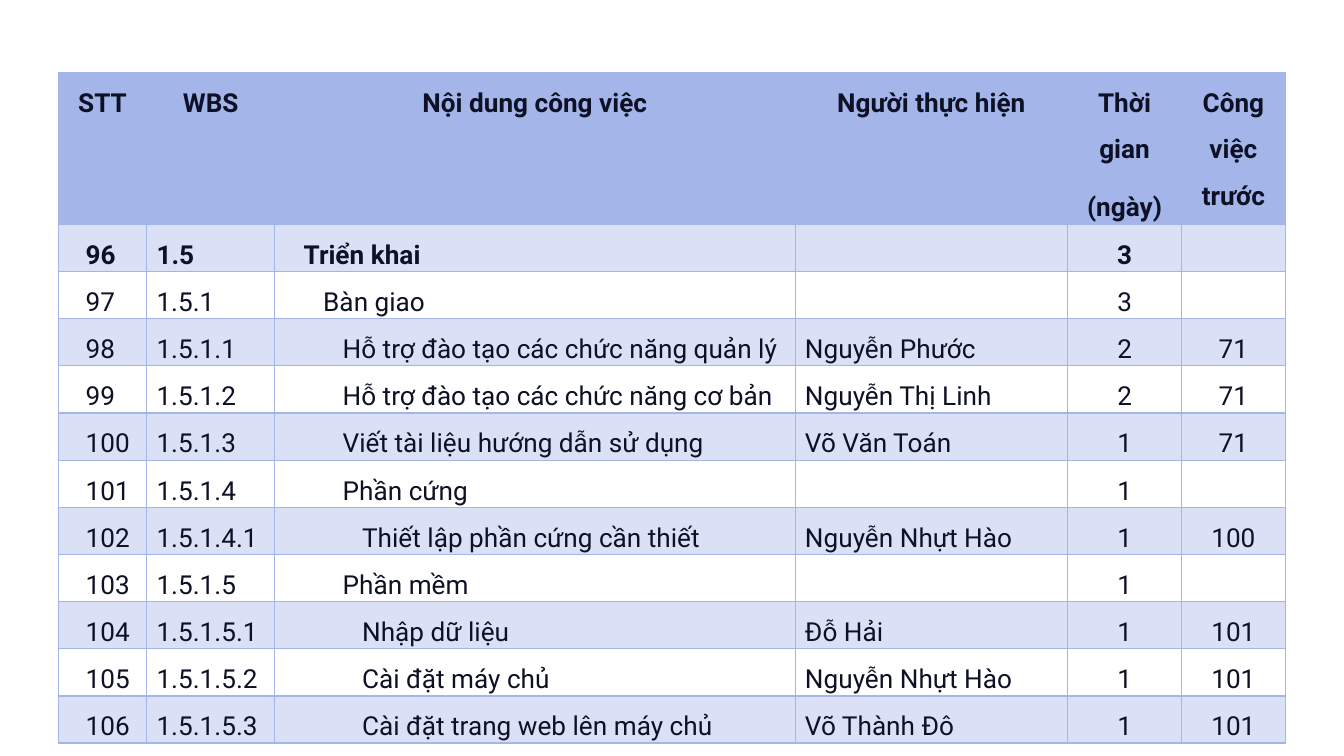
from dataclasses import dataclass

from lxml import etree
from pptx import Presentation
from pptx import util as u
from pptx.dml.color import RGBColor
from pptx.enum import text
from pptx.oxml import ns


@dataclass(frozen=True)
class Theme:
    font: str = "Roboto"
    size: float = 14
    ink: str = "0E1125"
    accent: str = "A4B5E9"
    band_alpha: int = 40
    border: float = 0.75
    line_spacing: float = 1.5
    plain_style: str = "{2D5ABB26-0587-4C30-8999-92F81FD0307C}"


LEFT, CENTER = text.PP_ALIGN.LEFT, text.PP_ALIGN.CENTER

# Lengths are in grid units: one hundredth of the slide's width.
TABLE_LEFT, TABLE_TOP = 4.33, 5.4
COL_WIDTHS = [6.6, 9.5, 38.75, 20.25, 8.5, 7.7]
HEADER_HEIGHT, ROW_HEIGHT = 11.3, 3.51
CELL_MARGIN, NUMBER_INDENT, LEVEL_INDENT = 0.72, 1.33, 1.45

HEADERS = [["STT"], ["WBS"], ["Nội dung công việc"], ["Người thực hiện"],
           ["Thời gian", "(ngày)"], ["Công việc trước"]]
ALIGNS = [LEFT, LEFT, LEFT, LEFT, CENTER, CENTER]
FIRST_NUMBER = 96
TASKS = [
    ("1.5", "Triển khai", "", "3", ""),
    ("1.5.1", "Bàn giao", "", "3", ""),
    ("1.5.1.1", "Hỗ trợ đào tạo các chức năng quản lý", "Nguyễn Phước", "2", "71"),
    ("1.5.1.2", "Hỗ trợ đào tạo các chức năng cơ bản", "Nguyễn Thị Linh", "2", "71"),
    ("1.5.1.3", "Viết tài liệu hướng dẫn sử dụng", "Võ Văn Toán", "1", "71"),
    ("1.5.1.4", "Phần cứng", "", "1", ""),
    ("1.5.1.4.1", "Thiết lập phần cứng cần thiết", "Nguyễn Nhựt Hào", "1", "100"),
    ("1.5.1.5", "Phần mềm", "", "1", ""),
    ("1.5.1.5.1", "Nhập dữ liệu", "Đỗ Hải", "1", "101"),
    ("1.5.1.5.2", "Cài đặt máy chủ", "Nguyễn Nhựt Hào", "1", "101"),
    ("1.5.1.5.3", "Cài đặt trang web lên máy chủ", "Võ Thành Đô", "1", "101"),
]


class Deck:
    """Holds the theme and the current slide."""

    def __init__(self, theme):
        self.theme = theme
        self.prs = Presentation()
        self.prs.slide_width = u.Inches(10)
        self.prs.slide_height = self.prs.slide_width * 9 // 16
        self.s = self.prs.slides.add_slide(self.prs.slide_layouts[6])

    def units(self, n):
        return u.Emu(round(self.prs.slide_width * n / 100))

    def table(self, left, top, widths, heights):
        frame = self.s.shapes.add_table(
            len(heights), len(widths), self.units(left), self.units(top),
            self.units(sum(widths)), self.units(sum(heights)))
        table = frame.table
        table.first_row = table.horz_banding = False
        table._tbl.tblPr.find(ns.qn("a:tableStyleId")).text = self.theme.plain_style
        for column, width in zip(table.columns, widths):
            column.width = self.units(width)
        for row, height in zip(table.rows, heights):
            row.height = self.units(height)
        return table

    def cell(self, cell, lines, align=LEFT, bold=False, indent=0, alpha=None):
        """Writes a cell; alpha is the accent fill's opacity, None for no fill."""
        cell.margin_left = cell.margin_right = self.units(CELL_MARGIN)
        cell.margin_top = cell.margin_bottom = 0
        self.borders(cell)
        self.fill(cell, alpha)
        tf = cell.text_frame
        for i, line in enumerate(filter(None, lines)):
            p = tf.add_paragraph() if i else tf.paragraphs[0]
            p.alignment = align
            p.line_spacing = self.theme.line_spacing
            if i:
                p.space_before = u.Pt(6)
            if indent:
                pPr = p._p.get_or_add_pPr()
                pPr.set("marL", "0")
                pPr.set("indent", str(self.units(indent)))
            r = p.add_run()
            r.text = line
            r.font.name, r.font.size = self.theme.font, u.Pt(self.theme.size)
            r.font.bold = bold
            r.font.color.rgb = RGBColor.from_string(self.theme.ink)

    def borders(self, cell):
        tcPr = cell._tc.get_or_add_tcPr()
        for side in ("lnL", "lnR", "lnT", "lnB"):
            ln = etree.SubElement(tcPr, ns.qn(f"a:{side}"),
                                  w=str(u.Pt(self.theme.border)))
            fill = etree.SubElement(ln, ns.qn("a:solidFill"))
            etree.SubElement(fill, ns.qn("a:srgbClr"), val=self.theme.accent)

    def fill(self, cell, alpha):
        if alpha is None:
            cell.fill.background()
            return
        cell.fill.solid()
        cell.fill.fore_color.rgb = RGBColor.from_string(self.theme.accent)
        if alpha < 100:
            color = cell._tc.tcPr.find(ns.qn("a:solidFill")).find(ns.qn("a:srgbClr"))
            etree.SubElement(color, ns.qn("a:alpha"), val=str(alpha * 1000))


def main():
    deck = Deck(Theme())
    heights = [HEADER_HEIGHT] + [ROW_HEIGHT] * len(TASKS)
    table = deck.table(TABLE_LEFT, TABLE_TOP, COL_WIDTHS, heights)
    for col, lines in enumerate(HEADERS):
        deck.cell(table.cell(0, col), lines, CENTER, bold=True, alpha=100)
    for i, task in enumerate(TASKS):
        level = task[0].count(".")
        indents = [NUMBER_INDENT, 0, level * LEVEL_INDENT, 0, 0, 0]
        values = (str(FIRST_NUMBER + i), *task)
        alpha = None if i % 2 else deck.theme.band_alpha
        for col, value in enumerate(values):
            deck.cell(table.cell(i + 1, col), [value], ALIGNS[col],
                      bold=level == 1, indent=indents[col], alpha=alpha)
    deck.prs.save("out.pptx")


if __name__ == "__main__":
    main()
